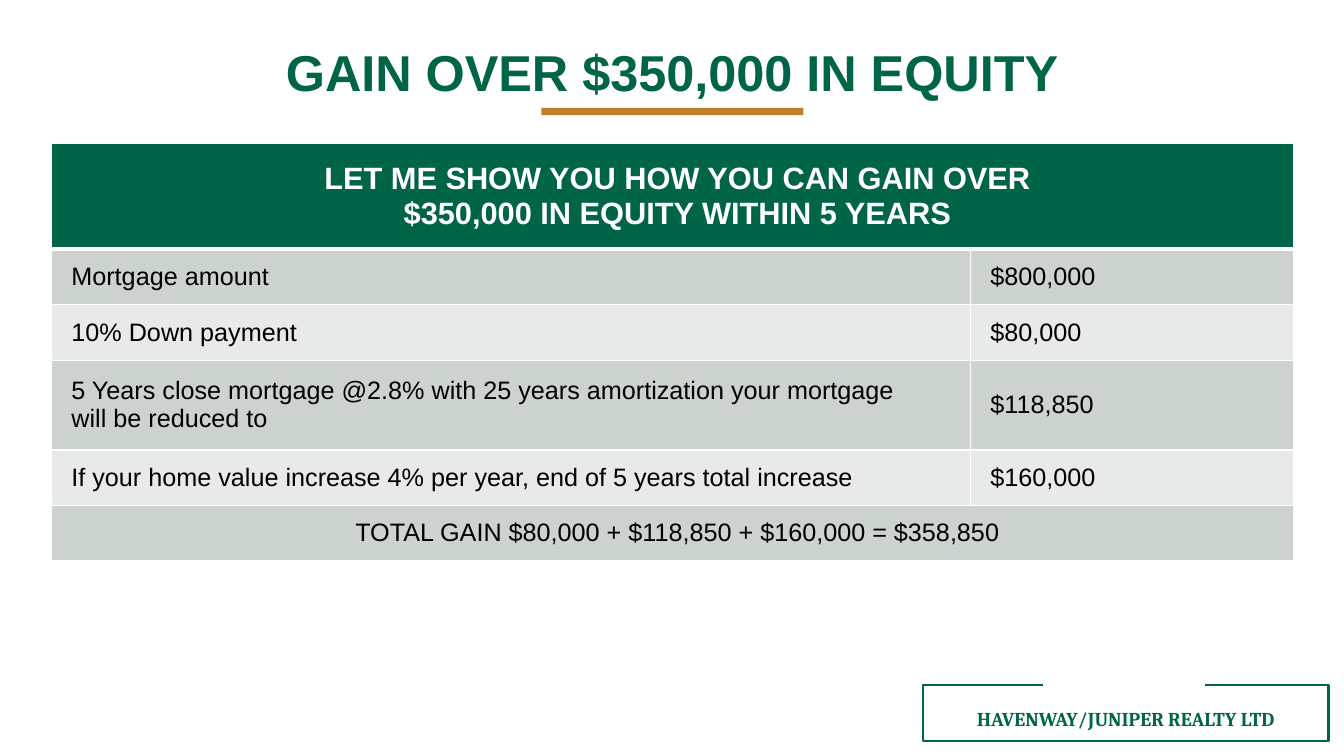
import pptx
import pptx.dml.color
import pptx.enum.shapes
import pptx.enum.text
import pptx.oxml
import pptx.oxml.ns
import pptx.util

Cm = pptx.util.Cm
Pt = pptx.util.Pt
ALIGN = pptx.enum.text.PP_ALIGN
MIDDLE = pptx.enum.text.MSO_ANCHOR.MIDDLE
COLORS = {
    "green": "006548",
    "gold": "BD802B",
    "white": "FFFFFF",
    "black": "000000",
    "band_dark": "CCD3CF",
    "band_light": "E7EAE9",
}
HEADING = "LET ME SHOW YOU HOW YOU CAN GAIN OVER\n$350,000 IN EQUITY WITHIN 5 YEARS"
FIGURES = [
    ("Mortgage amount", "$800,000"),
    ("10% Down payment", "$80,000"),
    ("5 Years close mortgage @2.8% with 25 years amortization your mortgage\nwill be reduced to", "$118,850"),
    ("If your home value increase 4% per year, end of 5 years total increase", "$160,000"),
]
TOTAL = "TOTAL GAIN $80,000 + $118,850 + $160,000 = $358,850"


def rgb(name):
    """Return the named colour."""
    return pptx.dml.color.RGBColor.from_string(COLORS[name])


def write(tf, text, size=18, font="Arial", color="black", bold=False, align=ALIGN.LEFT, spacing=1.0):
    """Write one formatted paragraph, breaking lines at newlines."""
    tf.word_wrap = True
    p = tf.paragraphs[0]
    p.alignment = align
    p.line_spacing = spacing
    for i, line in enumerate(text.split("\n")):
        if i:
            p.add_line_break()
        r = p.add_run()
        r.text = line
        r.font.size = Pt(size)
        r.font.name = font
        r.font.bold = bold
        r.font.color.rgb = rgb(color)


def add_text(s, left, top, width, height, text, **fmt):
    """Add a vertically centred text box without margins."""
    tf = s.shapes.add_textbox(Cm(left), Cm(top), Cm(width), Cm(height)).text_frame
    tf.margin_left = tf.margin_right = tf.margin_top = tf.margin_bottom = 0
    tf.vertical_anchor = MIDDLE
    write(tf, text, **fmt)


def add_title(s, left, top, width, height):
    """Add the title with a gold rule centred below it."""
    add_text(s, left, top, width, height, "GAIN OVER $350,000 IN EQUITY",
             size=36, color="green", bold=True, align=ALIGN.CENTER, spacing=0.9)
    rule_width = 6.6
    sp = s.shapes.add_shape(pptx.enum.shapes.MSO_SHAPE.RECTANGLE, Cm(left + (width - rule_width) / 2),
                            Cm(top + height + 0.02), Cm(rule_width), Cm(0.18))
    sp.shadow.inherit = False
    sp.fill.solid()
    sp.fill.fore_color.rgb = rgb("gold")
    sp.line.fill.background()


def style_cell(cell, fill, bottom=1):
    """Set the margins, white borders and fill of a cell."""
    cell.margin_left, cell.margin_right = Cm(0.5), Cm(0.25)
    cell.margin_top = cell.margin_bottom = Cm(0.13)
    cell.vertical_anchor = MIDDLE
    tcPr = cell._tc.get_or_add_tcPr()
    for side, points in (("L", 1), ("R", 1), ("T", 1), ("B", bottom)):
        tcPr.append(pptx.oxml.parse_xml(
            f'<a:ln{side} {pptx.oxml.ns.nsdecls("a")} w="{Pt(points)}"><a:solidFill>'
            f'<a:srgbClr val="{COLORS["white"]}"/></a:solidFill></a:ln{side}>'))
    cell.fill.solid()
    cell.fill.fore_color.rgb = rgb(fill)


def add_equity_table(s, left, top, width):
    """Add the equity table with merged heading and total rows."""
    heights = [2.67, 1.4, 1.4, 2.26, 1.4, 1.4]
    amount_width = 8.13
    table = s.shapes.add_table(len(heights), 2, Cm(left), Cm(top), Cm(width), Cm(sum(heights))).table
    table.horz_banding = False
    table.columns[0].width = Cm(width - amount_width)
    table.columns[1].width = Cm(amount_width)
    last = len(heights) - 1
    for i, height in enumerate(heights):
        table.rows[i].height = Cm(height)
        fill = "green" if i == 0 else "band_dark" if i % 2 else "band_light"
        for cell in table.rows[i].cells:
            style_cell(cell, fill, bottom=3 if i == 0 else 1)
    for i in (0, last):
        table.cell(i, 0).merge(table.cell(i, 1))
    write(table.cell(0, 0).text_frame, HEADING, size=22, color="white", bold=True, align=ALIGN.CENTER)
    for i, row in enumerate(FIGURES, 1):
        for j, text in enumerate(row):
            write(table.cell(i, j).text_frame, text)
    write(table.cell(last, 0).text_frame, TOTAL, align=ALIGN.CENTER)


def add_footer(s, left, top, width, height):
    """Add the company name in a frame that is open at the top."""
    add_text(s, left, top + 0.4, width, 0.87, "HAVENWAY/JUNIPER REALTY LTD",
             size=14, font="Cambria", color="green", bold=True, align=ALIGN.CENTER)
    right, bottom = left + width, top + height
    corners = [(left, top), (left, bottom), (right, bottom), (right, top), (left + 7.11, top)]
    fb = s.shapes.build_freeform(Cm(left + 3.02), Cm(top))
    fb.add_line_segments([(Cm(x), Cm(y)) for x, y in corners], close=False)
    sp = fb.convert_to_shape()
    sp.shadow.inherit = False
    sp.fill.background()
    sp.line.color.rgb = rgb("green")
    sp.line.width = Pt(1.5)


def main():
    """Build and save the slide."""
    prs = pptx.Presentation()
    prs.slide_width, prs.slide_height = Cm(33.87), Cm(19.05)
    s = prs.slides.add_slide(prs.slide_layouts[6])
    add_footer(s, 23.27, 17.27, 10.21, 1.4)
    add_title(s, 1.3, 1.07, 31.29, 1.63)
    add_equity_table(s, 1.3, 3.61, 31.29)
    prs.save("out.pptx")


if __name__ == "__main__":
    main()
